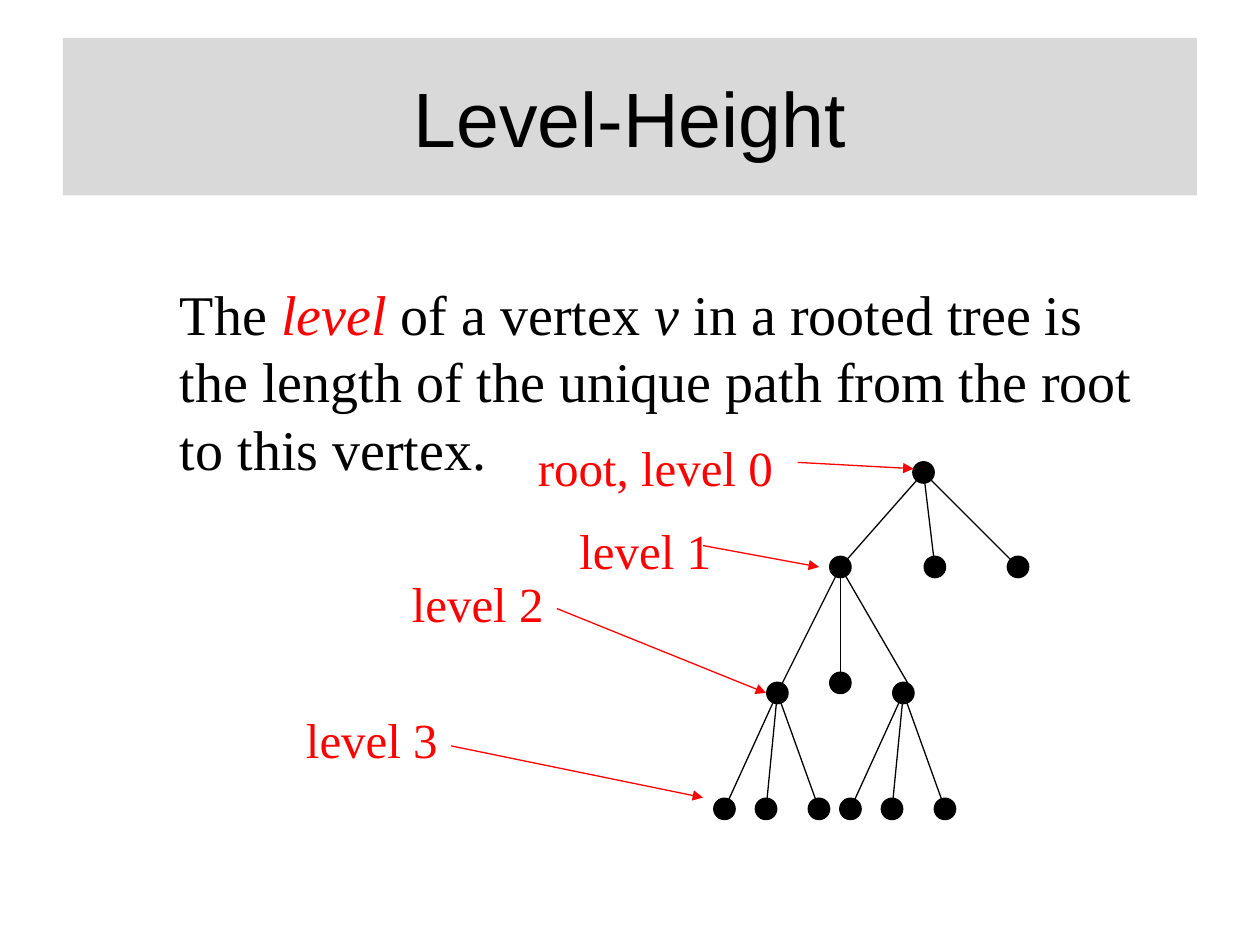
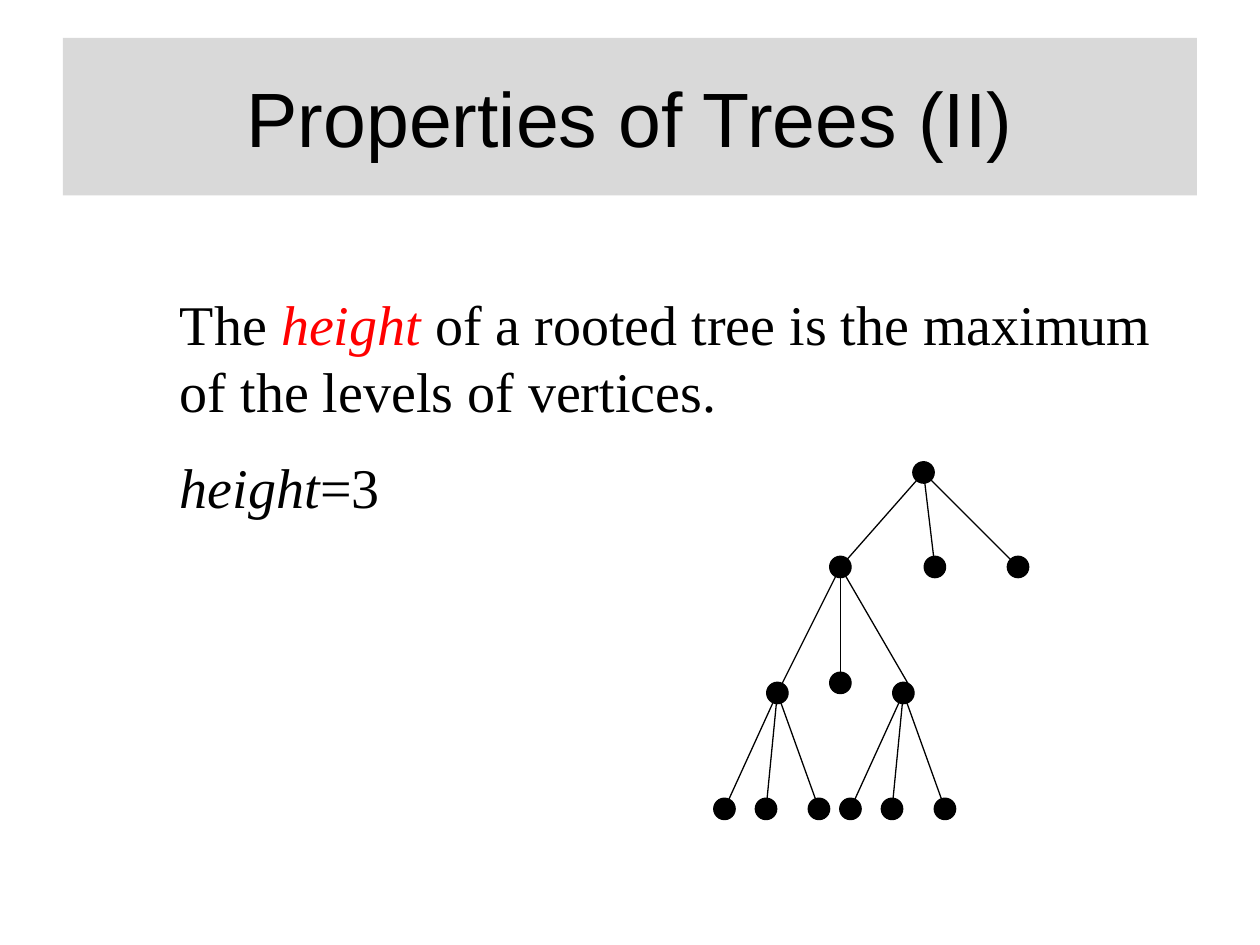
"""Build two slides on the level and height of a rooted tree."""
from lxml.etree import SubElement
from pptx import Presentation
from pptx.dml.color import RGBColor
from pptx.enum.shapes import MSO_CONNECTOR, MSO_SHAPE
from pptx.enum.text import MSO_ANCHOR, MSO_AUTO_SIZE, PP_ALIGN
from pptx.oxml.ns import qn
from pptx.util import Inches, Pt

BLACK = RGBColor(0x00, 0x00, 0x00)
RED = RGBColor(0xFF, 0x00, 0x00)
BAND_GREY = RGBColor(0xD9, 0xD9, 0xD9)
TITLE_FONT = "Arial"
BODY_FONT = "Times New Roman"
VERTEX_SIZE = 0.17

ROOT = (7.33, 3.75)
INNER = (6.67, 4.5)
LEFT_INNER = (6.17, 5.5)
RIGHT_INNER = (7.17, 5.5)
MIDDLE_LEAF = (6.67, 5.42)
CHILDREN = {
    ROOT: [INNER, (7.42, 4.5), (8.08, 4.5)],
    INNER: [LEFT_INNER, MIDDLE_LEAF, RIGHT_INNER],
    LEFT_INNER: [(5.75, 6.42), (6.08, 6.42), (6.5, 6.42)],
    RIGHT_INNER: [(6.75, 6.42), (7.08, 6.42), (7.5, 6.42)],
}
EDGE_ENDS = {MIDDLE_LEAF: (6.67, 5.5), RIGHT_INNER: (7.25, 5.5)}

LEVEL_LABELS = [
    ("level 2", (3.17, 4.5, 1.83, 0.57), (4.42, 4.83), (6.08, 5.5)),
    ("level 3", (2.33, 5.58, 1.42, 0.57), (3.58, 5.92), (5.58, 6.33)),
    ("root, level 0", (4.17, 3.42, 2.83, 0.57), (6.33, 3.67), (7.25, 3.72)),
    ("level 1", (4.5, 4.08, 1.83, 0.57), (5.58, 4.33), (6.5, 4.5)),
]


def write_text(frame, paragraphs, *, font=BODY_FONT, size=32, color=BLACK,
               align=PP_ALIGN.LEFT, space_before=16):
    """Write paragraphs of (text, run format) pairs into a text frame."""
    frame.word_wrap = True
    for index, runs in enumerate(paragraphs):
        paragraph = frame.add_paragraph() if index else frame.paragraphs[0]
        paragraph.alignment = align
        if index:
            paragraph.space_before = Pt(space_before)
        for text, run_format in runs:
            run = paragraph.add_run()
            run.text = text
            run.font.name = font
            run.font.size = Pt(size)
            run.font.italic = run_format.get("italic", False)
            run.font.color.rgb = run_format.get("color", color)


def add_text(slide, box, paragraphs, **text_format):
    """Add a text box that grows with its text."""
    frame = slide.shapes.add_textbox(*map(Inches, box)).text_frame
    frame.auto_size = MSO_AUTO_SIZE.SHAPE_TO_FIT_TEXT
    write_text(frame, paragraphs, **text_format)


def add_title(slide, title):
    """Add the grey title band."""
    band = slide.shapes.add_shape(
        MSO_SHAPE.RECTANGLE, *map(Inches, (0.5, 0.3, 9, 1.25)))
    band.shadow.inherit = False
    band.fill.solid()
    band.fill.fore_color.rgb = BAND_GREY
    band.line.fill.background()
    band.text_frame.vertical_anchor = MSO_ANCHOR.MIDDLE
    write_text(band.text_frame, [[(title, {})]], font=TITLE_FONT, size=44,
               align=PP_ALIGN.CENTER)


def add_line(shapes, start, end, color=BLACK, arrow=False):
    """Add a thin straight line, with an arrowhead at its end if asked."""
    line = shapes.add_connector(
        MSO_CONNECTOR.STRAIGHT, *map(Inches, (*start, *end)))
    line.line.color.rgb = color
    line.line.width = Pt(0.75)
    properties = line._element.spPr
    if arrow:
        SubElement(properties.find(qn("a:ln")), qn("a:tailEnd"), type="triangle")
    SubElement(properties, qn("a:effectLst"))


def add_vertex(shapes, center):
    """Add a black dot around its center."""
    left, top = (value - VERTEX_SIZE / 2 for value in center)
    dot = shapes.add_shape(
        MSO_SHAPE.OVAL,
        *map(Inches, (left, top, VERTEX_SIZE, VERTEX_SIZE)))
    dot.shadow.inherit = False
    dot.fill.solid()
    dot.fill.fore_color.rgb = BLACK
    dot.line.color.rgb = BLACK
    dot.line.width = Pt(0.75)


def add_tree(slide):
    """Add the rooted tree as one group."""
    tree = slide.shapes.add_group_shape().shapes
    add_vertex(tree, ROOT)
    for parent, children in CHILDREN.items():
        for child in children:
            add_vertex(tree, child)
            add_line(tree, parent, EDGE_ENDS.get(child, child))


def add_tree_slide(deck, title, box, paragraphs):
    """Add a slide with a title, a definition and the tree."""
    slide = deck.slides.add_slide(deck.slide_layouts[6])
    add_title(slide, title)
    add_text(slide, box, paragraphs)
    add_tree(slide)
    return slide


def main():
    """Build and save the slides."""
    deck = Presentation()
    deck.slide_width, deck.slide_height = Inches(10), Inches(7.5)
    term = {"italic": True, "color": RED}
    italic = {"italic": True}

    level_slide = add_tree_slide(
        deck, "Level-Height", (1.33, 2.17, 7.92, 1.72),
        [[("The ", {}), ("level", term), (" of a vertex ", {}), ("v", italic),
          (" in a rooted tree is the length of the unique path from the root "
           "to this vertex.", {})]])
    for label, box, start, end in LEVEL_LABELS:
        add_text(level_slide, box, [[(label, {})]], size=28, color=RED)
        add_line(level_slide.shapes, start, end, color=RED, arrow=True)

    add_tree_slide(
        deck, "Properties of Trees (II)", (1.33, 2.25, 8, 1.99),
        [[("The ", {}), ("height", term),
          (" of a rooted tree is the maximum of the levels of vertices.", {})],
         [("height", italic), ("=3", {})]])
    deck.save("out.pptx")


if __name__ == "__main__":
    main()
